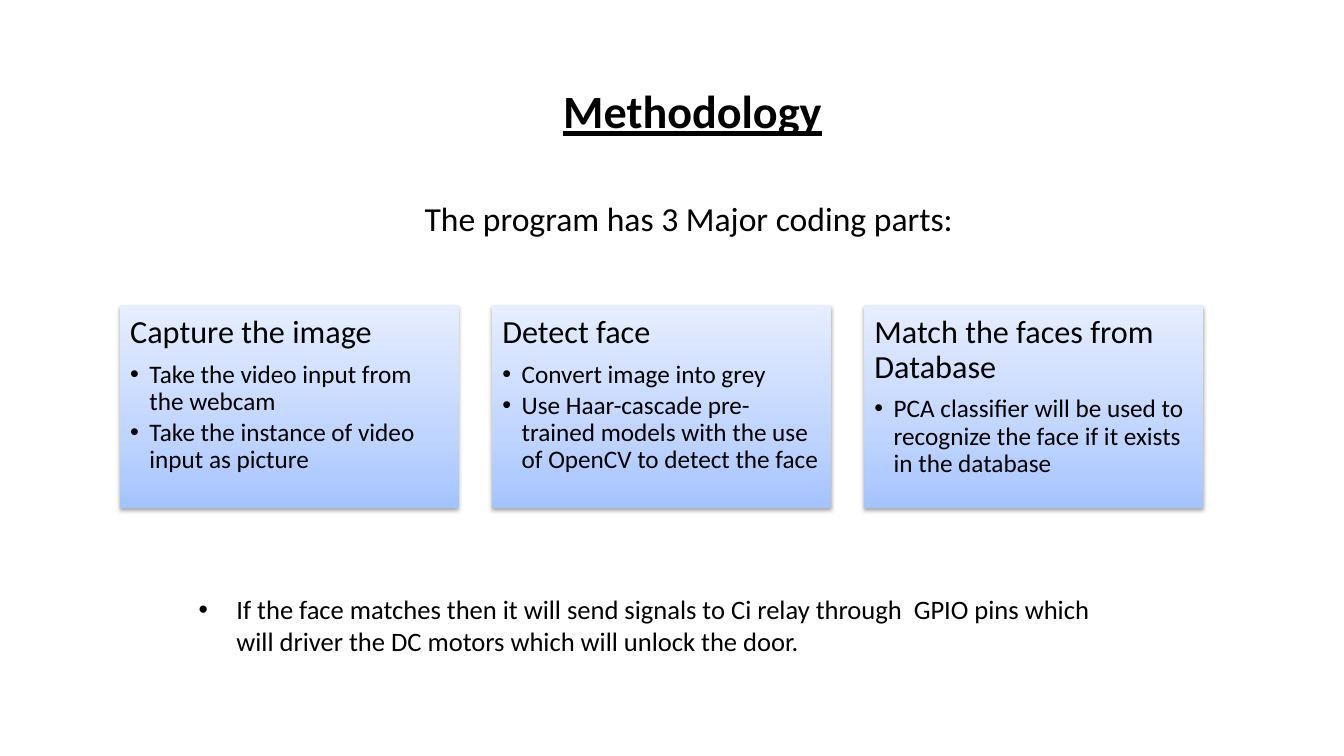
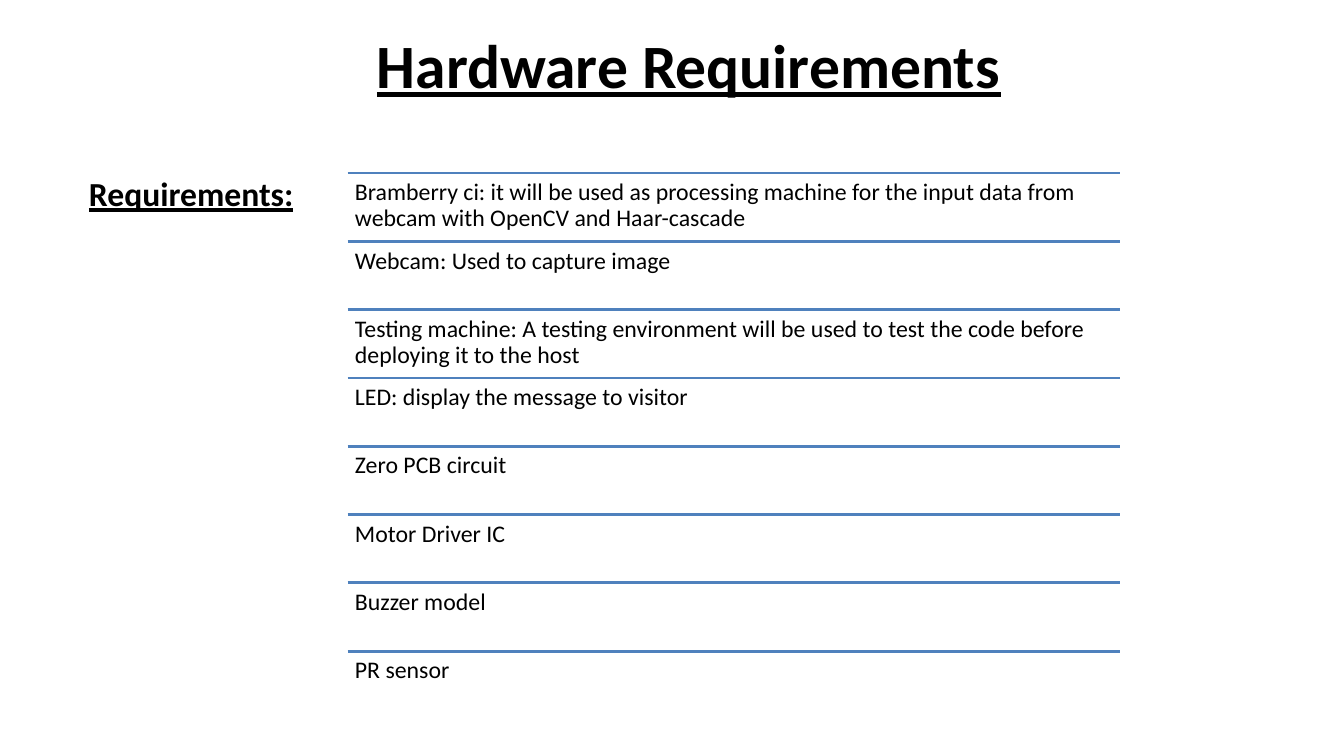
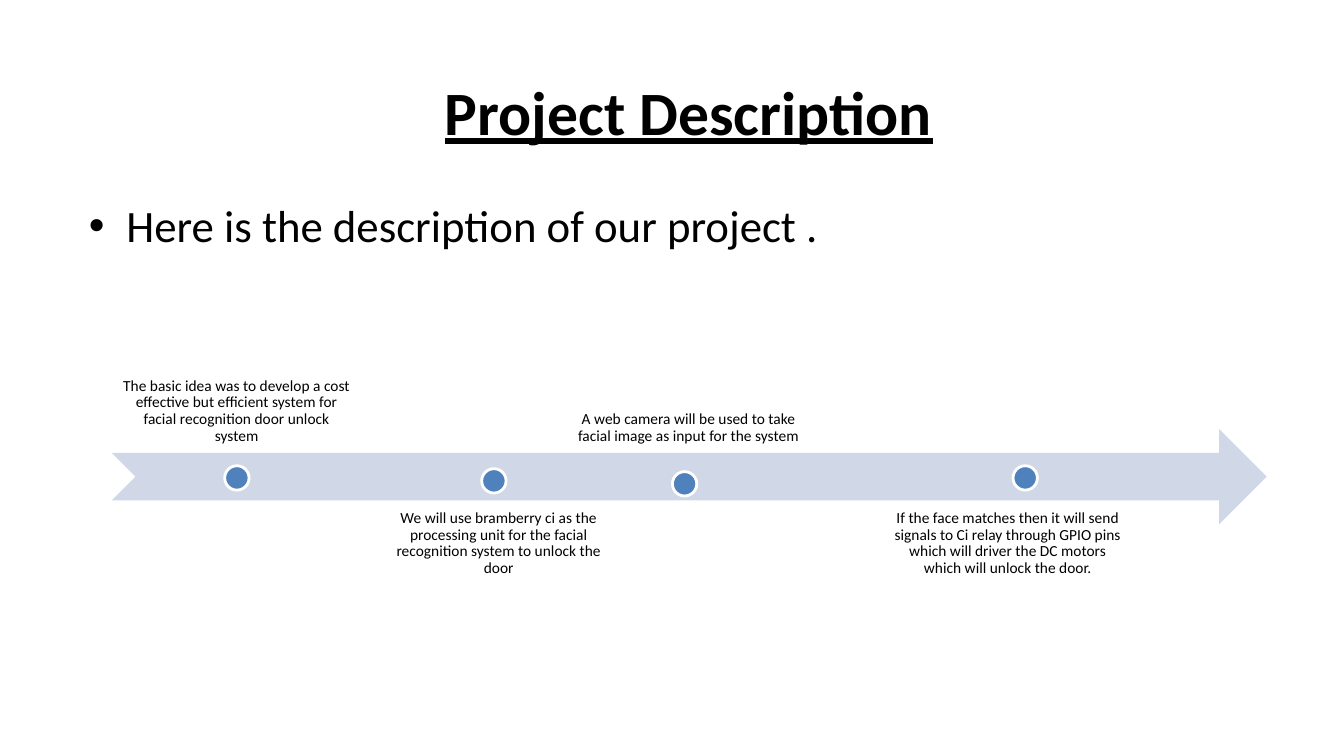
from pptx import Presentation
from pptx.dml.color import RGBColor
from pptx.enum.shapes import MSO_CONNECTOR, MSO_SHAPE
from pptx.enum.text import MSO_ANCHOR as Anchor, PP_ALIGN as Align
from pptx.oxml import parse_xml
from pptx.oxml.ns import nsdecls, qn
from pptx.util import Inches, Pt
from lxml import etree

COLORS = {
    "text": "000000",
    "accent": "4F81BD",
    "arrow": "D0D8E8",
    "outline": "FFFFFF",
    "card_bottom": "A4C4FF",
    "card_middle": "BFD4FF",
    "card_top": "E6EEFF",
    "shadow": "000000",
}
FONT = "Calibri"
COLUMNS, ROWS = 32, 18
MARGIN, CONTENT_WIDTH = 2, 28.8


class Deck:
    """Holds the shared style and the current slide, measured on a 32 by 18 grid."""

    def __init__(self):
        self.presentation = Presentation()
        self.presentation.slide_width = Inches(13.33)
        self.presentation.slide_height = Inches(7.5)
        self.cell_width = self.presentation.slide_width / COLUMNS
        self.cell_height = self.presentation.slide_height / ROWS
        self.slide = None

    def x(self, columns):
        return round(columns * self.cell_width)

    def y(self, rows):
        return round(rows * self.cell_height)

    def place(self, left, top, width, height):
        return self.x(left), self.y(top), self.x(width), self.y(height)

    def color(self, name):
        return RGBColor.from_string(COLORS[name])

    def new_slide(self, title, top=1.13, height=3, size=44, left=MARGIN):
        self.slide = self.presentation.slides.add_slide(self.presentation.slide_layouts[6])
        box = (left, top, CONTENT_WIDTH, height)
        self.text(box, title, size, align=Align.CENTER, anchor=Anchor.MIDDLE, heading=True)

    def prepare(self, frame, inset, anchor=Anchor.TOP):
        frame.word_wrap = True
        frame.vertical_anchor = anchor
        frame.margin_left = frame.margin_right = self.x(inset)
        frame.margin_top = frame.margin_bottom = self.y(inset)

    def style(self, paragraph, size, align=Align.LEFT, heading=False, spacing=1.0, after=0, indent=0):
        paragraph.alignment = align
        paragraph.line_spacing = spacing
        paragraph.space_after = Pt(after)
        if indent:
            properties = paragraph._p.get_or_add_pPr()
            properties.set("marL", str(self.x(indent)))
            properties.set("indent", str(-self.x(indent)))
            etree.SubElement(properties, qn("a:buFont")).set("typeface", "Arial")
            etree.SubElement(properties, qn("a:buChar")).set("char", "•")
        for run in paragraph.runs:
            run.font.name = FONT
            run.font.size = Pt(size)
            run.font.color.rgb = self.color("text")
            run.font.bold = run.font.underline = heading

    def text(self, box, words, size, inset=0.12, anchor=Anchor.TOP, **look):
        frame = self.slide.shapes.add_textbox(*self.place(*box)).text_frame
        self.prepare(frame, inset, anchor)
        frame.text = words
        self.style(frame.paragraphs[0], size, **look)

    def shape(self, kind, box, fill, outline=None):
        shape = self.slide.shapes.add_shape(kind, *self.place(*box))
        shape.shadow.inherit = False
        shape.fill.solid()
        shape.fill.fore_color.rgb = self.color(fill)
        if outline:
            shape.line.color.rgb = self.color(outline)
            shape.line.width = Pt(2)
        else:
            shape.line.fill.background()
        return shape

    def rule(self, left, top, width):
        start, end, level = self.x(left), self.x(left + width), self.y(top)
        line = self.slide.shapes.add_connector(MSO_CONNECTOR.STRAIGHT, start, level, end, level)
        line.line.color.rgb = self.color("accent")
        line.line.width = Pt(2)
        etree.SubElement(line._element.spPr, qn("a:effectLst"))

    def card(self, box, heading, points):
        shape = self.shape(MSO_SHAPE.RECTANGLE, box, "card_middle")
        self.shade(shape)
        frame = shape.text_frame
        self.prepare(frame, 0.24)
        frame.text = "\n".join([heading, *points])
        first, *rest = frame.paragraphs
        self.style(first, 23, spacing=0.9, after=8)
        for paragraph in rest:
            self.style(paragraph, 18, spacing=0.9, after=2.7, indent=0.46)

    def shade(self, shape):
        shape.fill.gradient()
        shape.fill.gradient_angle = 90
        properties = shape._element.spPr
        stops = properties.find(qn("a:gradFill")).find(qn("a:gsLst"))
        stops.clear()
        for share, name in ((0, "card_bottom"), (35, "card_middle"), (100, "card_top")):
            stop = etree.SubElement(stops, qn("a:gs"), pos=str(share * 1000))
            etree.SubElement(stop, qn("a:srgbClr"), val=COLORS[name])
        properties.find(qn("a:effectLst")).append(parse_xml(
            f'<a:outerShdw {nsdecls("a")} blurRad="40000" dist="23000" dir="5400000" rotWithShape="0">'
            f'<a:srgbClr val="{COLORS["shadow"]}"><a:alpha val="35000"/></a:srgbClr></a:outerShdw>'))

    def event(self, left, dot_left, dot_top, words, above):
        top, anchor = (8.54, Anchor.BOTTOM) if above else (11.93, Anchor.TOP)
        self.text((left, top, 5.95, 2.26), words, 11, inset=0.22, anchor=anchor,
                  align=Align.CENTER, spacing=0.9)
        self.shape(MSO_SHAPE.OVAL, (dot_left, dot_top, 0.58, 0.58), "accent", "outline")


def methodology(deck):
    deck.new_slide("Methodology", size=33, left=2.09)
    deck.text((MARGIN, 4.6, CONTENT_WIDTH, 1.5), "The program has 3 Major coding parts:", 24,
              align=Align.CENTER)
    cards = [
        ("Capture the image", ["Take the video input from the webcam",
                               "Take the instance of video input as picture"]),
        ("Detect face", ["Convert image into grey",
                         "Use Haar-cascade pre-trained models with the use of OpenCV to detect the face"]),
        ("Match the faces from Database",
         ["PCA classifier will be used to recognize the face if it exists in the database"]),
    ]
    width, gap = 8.06, 0.8
    for index, (heading, points) in enumerate(cards):
        deck.card((2.86 + index * (width + gap), 7.27, width, 4.82), heading, points)
    deck.text((4.61, 14, 22.25, 1.78),
              "If the face matches then it will send signals to Ci relay through  GPIO pins "
              "which will driver the DC motors which will unlock the door.", 19, indent=0.9)


def hardware(deck):
    deck.new_slide("Hardware Requirements", top=0.34, height=2.35)
    deck.text((MARGIN, 4, 6, 1.5), "Requirements:", 24, heading=True)
    items = [
        "Bramberry ci: it will be used as processing machine for the input data from "
        "webcam with OpenCV and Haar-cascade",
        "Webcam: Used to capture image",
        "Testing machine: A testing environment will be used to test the code before "
        "deploying it to the host",
        "LED: display the message to visitor",
        "Zero PCB circuit",
        "Motor Driver IC",
        "Buzzer model",
        "PR sensor",
    ]
    left, top, width, bottom = 8.28, 4.12, 18.38, 17.13
    pitch = (bottom - top) / len(items)
    for index, item in enumerate(items):
        level = top + index * pitch
        deck.rule(left, level, width)
        deck.text((left, level, width, pitch), item, 17, inset=0.17, spacing=0.9)


def description(deck):
    deck.new_slide("Project Description")
    deck.text((MARGIN, 4.6, CONTENT_WIDTH, 2), "Here is the description of our project .", 32, indent=0.89)
    deck.shape(MSO_SHAPE.NOTCHED_RIGHT_ARROW, (2.66, 10.22, 27.5, 2.26), "arrow")
    events = [
        (2.66, 5.35, 11.09, "The basic idea was to develop a cost effective but efficient system for "
                            "facial recognition door unlock system"),
        (8.9, 11.47, 11.16, "We will use bramberry ci as the processing unit for the facial "
                            "recognition system to unlock the door"),
        (13.42, 16.01, 11.23, "A web camera will be used to take facial image as input for the system"),
        (21.02, 24.12, 11.09, "If the face matches then it will send signals to Ci relay through GPIO pins "
                              "which will driver the DC motors which will unlock the door."),
    ]
    for index, event in enumerate(events):
        deck.event(*event, above=index % 2 == 0)


def main():
    deck = Deck()
    for build in (methodology, hardware, description):
        build(deck)
    deck.presentation.save("out.pptx")


if __name__ == "__main__":
    main()
